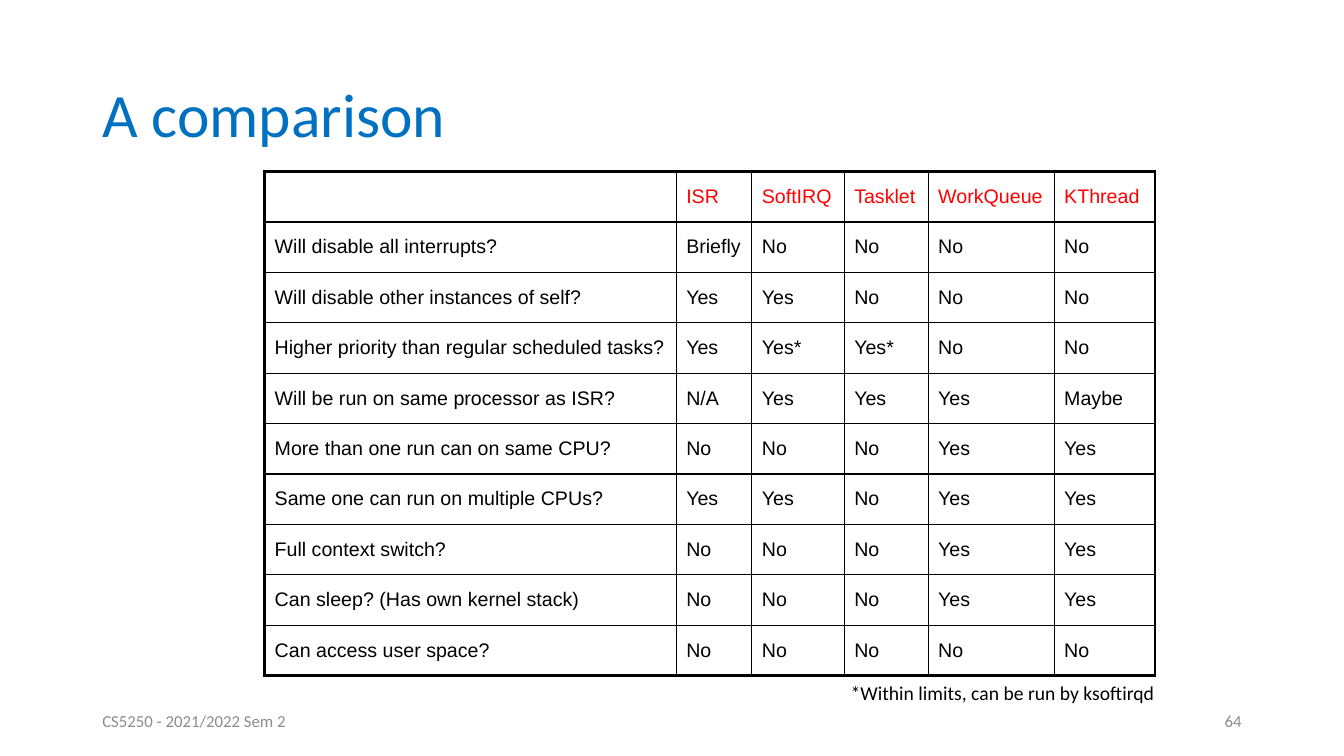
import pptx
import pptx.dml.color
import pptx.enum.text
import pptx.oxml.ns
import pptx.util
from lxml import etree

Pt = pptx.util.Pt
ALIGN = pptx.enum.text.PP_ALIGN
MIDDLE = pptx.enum.text.MSO_ANCHOR.MIDDLE
TOP = pptx.enum.text.MSO_ANCHOR.TOP

BLUE = pptx.dml.color.RGBColor(0x00, 0x70, 0xC0)
RED = pptx.dml.color.RGBColor(0xFF, 0x00, 0x00)
BLACK = pptx.dml.color.RGBColor(0x00, 0x00, 0x00)
GRAY = pptx.dml.color.RGBColor(0x8C, 0x8C, 0x8C)

# text, (left, top, width, height), size, colour, alignment, anchor
TEXTS = [
    ("A comparison", (66, 28.75, 828, 104.4), 44, BLUE, ALIGN.LEFT, MIDDLE),
    ("CS5250 - 2021/2022 Sem 2", (66, 500.5, 216, 28.75), 12, GRAY, ALIGN.LEFT, MIDDLE),
    ("64", (678, 500.5, 216, 28.75), 12, GRAY, ALIGN.RIGHT, MIDDLE),
    ("*Within limits, can be run by ksoftirqd", (600.5, 483, 243, 24), 14, BLACK, ALIGN.LEFT, TOP),
]

COMPARISON = [
    ("", "ISR", "SoftIRQ", "Tasklet", "WorkQueue", "KThread"),
    ("Will disable all interrupts?", "Briefly", "No", "No", "No", "No"),
    ("Will disable other instances of self?", "Yes", "Yes", "No", "No", "No"),
    ("Higher priority than regular scheduled tasks?", "Yes", "Yes*", "Yes*", "No", "No"),
    ("Will be run on same processor as ISR?", "N/A", "Yes", "Yes", "Yes", "Maybe"),
    ("More than one run can on same CPU?", "No", "No", "No", "Yes", "Yes"),
    ("Same one can run on multiple CPUs?", "Yes", "Yes", "No", "Yes", "Yes"),
    ("Full context switch?", "No", "No", "No", "Yes", "Yes"),
    ("Can sleep? (Has own kernel stack)", "No", "No", "No", "Yes", "Yes"),
    ("Can access user space?", "No", "No", "No", "No", "No"),
]
TABLE_LEFT, TABLE_TOP = 189, 122.5
COLUMN_WIDTHS = [294, 54, 66, 60, 90, 72]
ROW_HEIGHT = 36
INNER_BORDER, OUTER_BORDER = 1, 2.25


def style_paragraph(paragraph, font_name, size, colour):
    paragraph.font.name = font_name
    paragraph.font.size = Pt(size)
    paragraph.font.color.rgb = colour


def add_text(slide, text, box, size, colour, alignment, anchor):
    frame = slide.shapes.add_textbox(*map(Pt, box)).text_frame
    frame.word_wrap = True
    frame.vertical_anchor = anchor
    paragraph = frame.paragraphs[0]
    paragraph.text = text
    paragraph.alignment = alignment
    style_paragraph(paragraph, "Calibri", size, colour)


def set_borders(cell, outer_sides):
    """Draw four black lines, thicker on the sides that lie on the table's edge."""
    qn = pptx.oxml.ns.qn
    properties = cell._tc.get_or_add_tcPr()
    for index, (side, is_outer) in enumerate(outer_sides.items()):
        width = OUTER_BORDER if is_outer else INNER_BORDER
        line = etree.Element(qn(f"a:ln{side}"), w=str(Pt(width)))
        fill = etree.SubElement(line, qn("a:solidFill"))
        etree.SubElement(fill, qn("a:srgbClr"), val=str(BLACK))
        properties.insert(index, line)


def add_comparison(slide):
    row_count, column_count = len(COMPARISON), len(COLUMN_WIDTHS)
    table = slide.shapes.add_table(
        row_count, column_count, Pt(TABLE_LEFT), Pt(TABLE_TOP),
        Pt(sum(COLUMN_WIDTHS)), Pt(ROW_HEIGHT * row_count)).table
    table.first_row = False
    table.horz_banding = False
    for column, width in zip(table.columns, COLUMN_WIDTHS):
        column.width = Pt(width)
    for r, values in enumerate(COMPARISON):
        table.rows[r].height = Pt(ROW_HEIGHT)
        for c, value in enumerate(values):
            cell = table.cell(r, c)
            cell.text = value
            cell.vertical_anchor = MIDDLE
            cell.fill.background()
            style_paragraph(cell.text_frame.paragraphs[0], "Arial", 14, BLACK if r else RED)
            set_borders(cell, {"L": c == 0, "R": c == column_count - 1,
                               "T": r == 0, "B": r == row_count - 1})


def main():
    presentation = pptx.Presentation()
    presentation.slide_width = Pt(960)
    presentation.slide_height = Pt(540)
    slide = presentation.slides.add_slide(presentation.slide_layouts[6])
    add_comparison(slide)
    for text in TEXTS:
        add_text(slide, *text)
    presentation.save("out.pptx")


if __name__ == "__main__":
    main()
